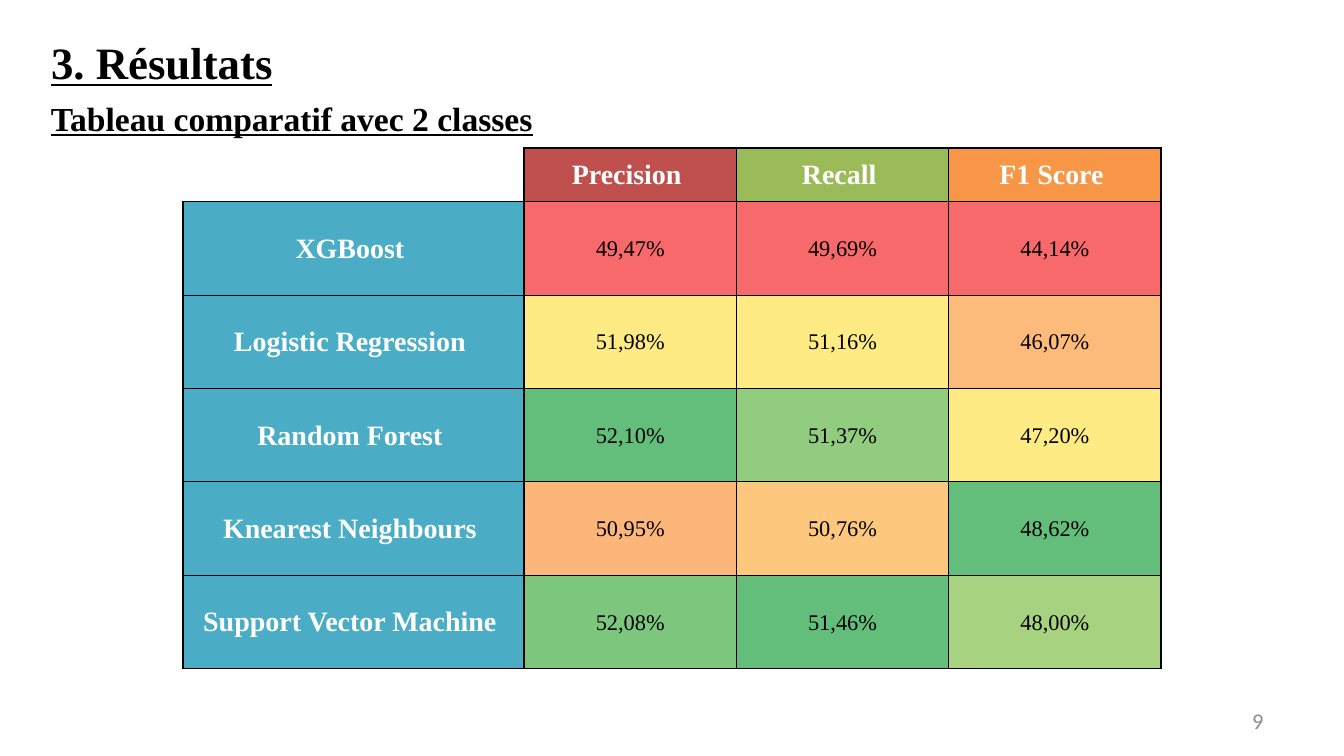
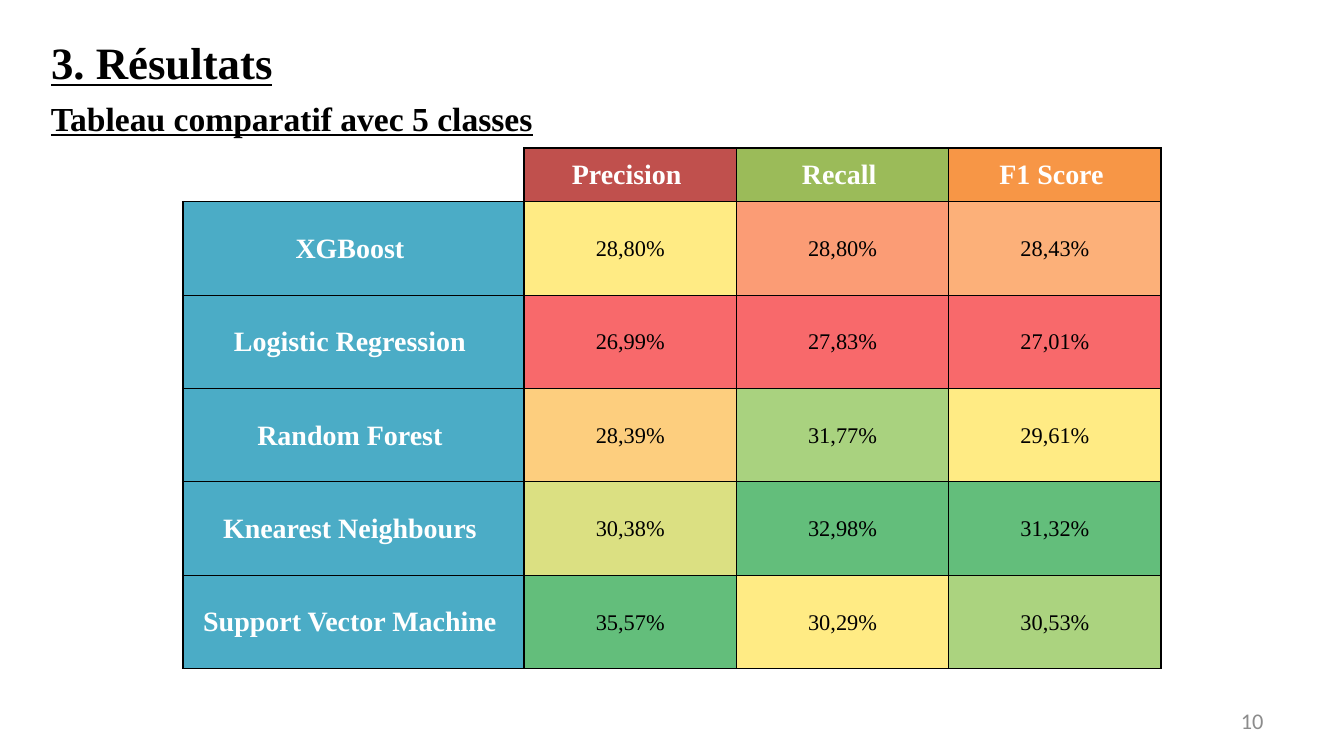
from lxml import etree
from pptx import Presentation
from pptx import util as u
from pptx.dml.color import RGBColor
from pptx.enum import text
from pptx.oxml.ns import qn

PX = 4572  # EMU per px, 200 px to the inch
SERIF, SANS = "Times New Roman", "Calibri"
COLORS = {
    "black": "000000",
    "white": "FFFFFF",
    "gray": "8C8C8C",
    "model": "4BACC6",
    "low": "F8696B",
    "middle": "FFEB84",
    "high": "63BE7B",
}
METRICS = [("Precision ", "C0504D"), ("Recall ", "9BBB59"), ("F1 Score ", "F79646")]
MODELS = ["XGBoost ", "Logistic Regression ", "Random Forest ",
          "Knearest Neighbours ", "Support Vector Machine "]
COL_WIDTHS = [508, 316, 316, 316]
ROW_HEIGHTS = [68] + [139] * len(MODELS)

# Scores: one row per model, one column per metric
TWO_CLASSES = [
    (49.47, 49.69, 44.14),
    (51.98, 51.16, 46.07),
    (52.10, 51.37, 47.20),
    (50.95, 50.76, 48.62),
    (52.08, 51.46, 48.00),
]
FIVE_CLASSES = [
    (28.80, 28.80, 28.43),
    (26.99, 27.83, 27.01),
    (28.39, 31.77, 29.61),
    (30.38, 32.98, 31.32),
    (35.57, 30.29, 30.53),
]


def px(n):
    return u.Emu(n * PX)


def add_run(p, content, size, color, font=SERIF, bold=False, underline=False):
    r = p.add_run()
    r.text = content
    r.font.size = u.Pt(size)
    r.font.name = font
    r.font.bold = bold
    r.font.underline = underline
    r.font.color.rgb = RGBColor.from_string(color)


def place(sp, left, top, width, height):
    sp.left, sp.top, sp.width, sp.height = px(left), px(top), px(width), px(height)


def add_heading(sp, content, size, top, height):
    """Underlined bold heading, in a placeholder or a text box."""
    place(sp, 56, top, 1654, height)
    tf = sp.text_frame
    tf.word_wrap = True
    tf.auto_size = text.MSO_AUTO_SIZE.SHAPE_TO_FIT_TEXT
    tf.vertical_anchor = text.MSO_ANCHOR.TOP
    p = tf.paragraphs[0]
    p.alignment = text.PP_ALIGN.LEFT
    add_run(p, content, size, COLORS["black"], bold=True, underline=True)


def add_page_number(s, number):
    tf = s.shapes.add_textbox(px(1434), px(1042), px(466), px(60)).text_frame
    tf.word_wrap = True
    tf.vertical_anchor = text.MSO_ANCHOR.MIDDLE
    p = tf.paragraphs[0]
    p.alignment = text.PP_ALIGN.RIGHT
    add_run(p, str(number), 12, COLORS["gray"], font=SANS)


def mix(start, end, t):
    """Colour at share t of the way from start to end."""
    pairs = zip(bytes.fromhex(start), bytes.fromhex(end))
    return "".join(f"{round(a + (b - a) * t):02X}" for a, b in pairs)


def scale_color(value, column):
    """Three-colour scale: lowest, median and highest score of the column."""
    ordered = sorted(column)
    low, middle, high = ordered[0], ordered[len(ordered) // 2], ordered[-1]
    if value <= middle:
        return mix(COLORS["low"], COLORS["middle"], (value - low) / (middle - low))
    return mix(COLORS["middle"], COLORS["high"], (value - middle) / (high - middle))


def set_border(cell, side, width):
    """Black border of the given width in points; 0 hides it."""
    ln = etree.SubElement(cell._tc.get_or_add_tcPr(), qn(f"a:ln{side}"),
                          w=str(u.Pt(width)))
    if width:
        fill = etree.SubElement(ln, qn("a:solidFill"))
        etree.SubElement(fill, qn("a:srgbClr"), val=COLORS["black"])
    else:
        etree.SubElement(ln, qn("a:noFill"))


def border_cell(cell, row, col):
    """Thick lines frame the table, its header and its label column."""
    corner = row == col == 0
    thick_x, thick_y = (0, 1, len(COL_WIDTHS)), (0, 1, len(ROW_HEIGHTS))
    for side, line, thick in (("L", col, thick_x), ("R", col + 1, thick_x),
                              ("T", row, thick_y), ("B", row + 1, thick_y)):
        hidden = corner and line == 0
        set_border(cell, side, 0 if hidden else 1 if line in thick else 0.5)


def fill_cell(cell, content, fill, size, color, bold):
    cell.fill.solid()
    cell.fill.fore_color.rgb = RGBColor.from_string(fill)
    cell.margin_left = cell.margin_right = cell.margin_top = px(2)
    cell.margin_bottom = 0
    cell.vertical_anchor = text.MSO_ANCHOR.MIDDLE
    p = cell.text_frame.paragraphs[0]
    p.alignment = text.PP_ALIGN.CENTER
    add_run(p, content, size, color, bold=bold)


def add_score_table(s, scores):
    frame = s.shapes.add_table(len(ROW_HEIGHTS), len(COL_WIDTHS), px(272), px(220),
                               px(sum(COL_WIDTHS)), px(sum(ROW_HEIGHTS)))
    table = frame.table
    table.first_row = table.horz_banding = False
    for column, width in zip(table.columns, COL_WIDTHS):
        column.width = px(width)
    for row, height in zip(table.rows, ROW_HEIGHTS):
        row.height = px(height)
    for i in range(len(ROW_HEIGHTS)):
        for j in range(len(COL_WIDTHS)):
            border_cell(table.cell(i, j), i, j)

    # Header row and label column
    table.cell(0, 0).fill.background()
    for j, (metric, color) in enumerate(METRICS, 1):
        fill_cell(table.cell(0, j), metric, color, 15, COLORS["white"], True)
    for i, model in enumerate(MODELS, 1):
        fill_cell(table.cell(i, 0), model, COLORS["model"], 15, COLORS["white"], True)

    # Scores, coloured within each metric
    for j, column in enumerate(zip(*scores), 1):
        for i, value in enumerate(column, 1):
            label = f"{value:.2f}%".replace(".", ",")
            fill_cell(table.cell(i, j), label, scale_color(value, column),
                      12, COLORS["black"], False)


def add_result_slide(prs, number, classes, scores):
    s = prs.slides.add_slide(prs.slide_layouts[5])
    add_page_number(s, number)
    add_heading(s.shapes.title, "3. Résultats", 24, 42, 100)
    subtitle = s.shapes.add_textbox(0, 0, 0, 0)
    add_heading(subtitle, f"Tableau comparatif avec {classes} classes", 18, 136, 80)
    add_score_table(s, scores)


def main():
    prs = Presentation()
    prs.slide_width, prs.slide_height = px(2000), px(1125)
    add_result_slide(prs, 9, 2, TWO_CLASSES)
    add_result_slide(prs, 10, 5, FIVE_CLASSES)
    prs.save("out.pptx")


if __name__ == "__main__":
    main()
